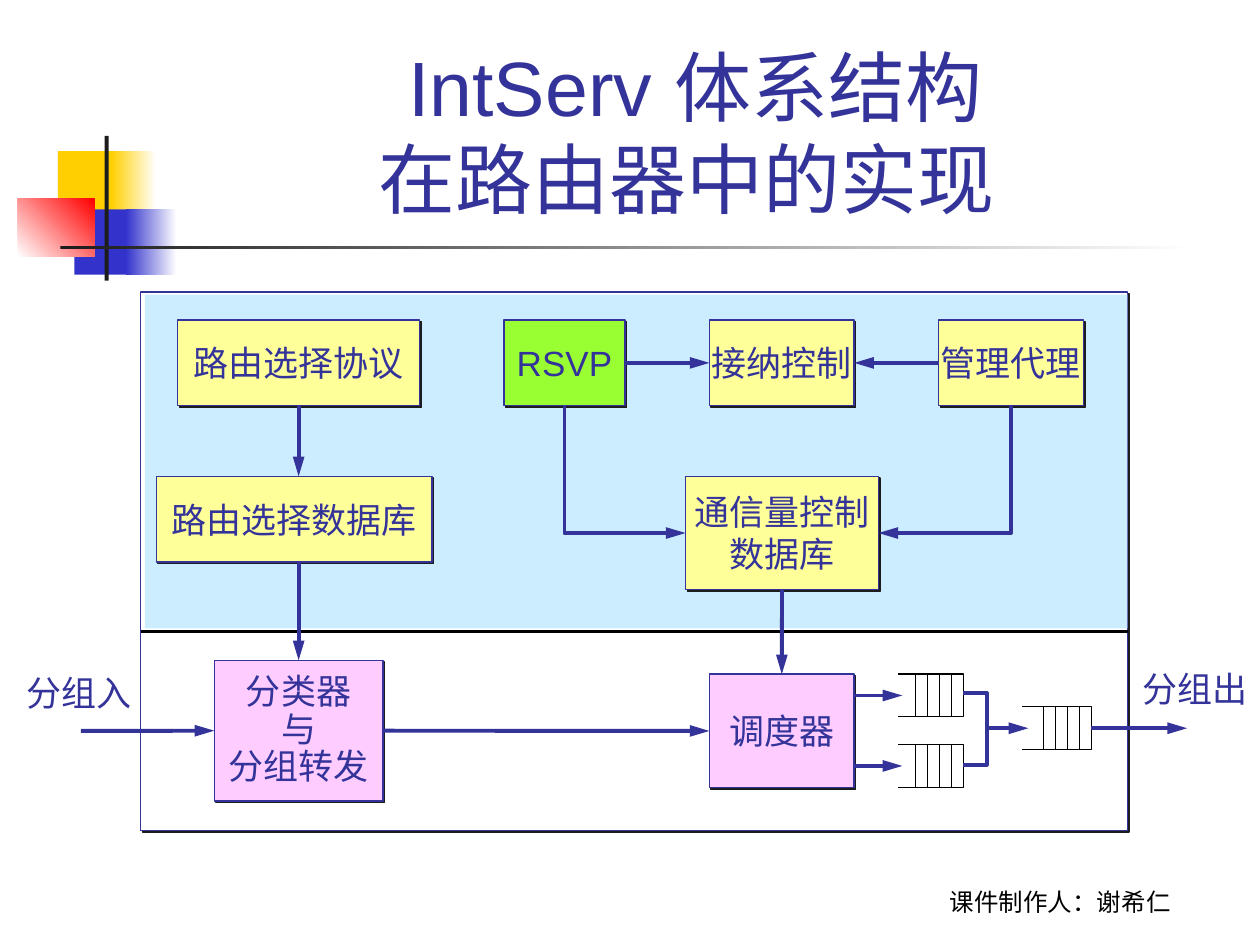
from lxml import etree
from pptx import Presentation
from pptx.dml.color import RGBColor
from pptx.enum import shapes, text
from pptx.oxml.ns import qn
from pptx.util import Cm, Pt

COLOURS = {
    "ink": "333399", "black": "000000", "white": "FFFFFF", "dark": "1C1C1C",
    "gold": "FFCF01", "blue": "3333CC", "red": "FF0000", "sky": "CCECFF",
    "yellow": "FFFF99", "green": "99FF33", "pink": "FFCCFF",
}

# Left, top, width, height in cm; first colour, last colour, gradient angle
DECORATION = [
    (1.17, 3.05, 1.22, 1.32, "gold", None, 0),
    (2.24, 3.05, 0.91, 1.32, "gold", "white", 0),
    (1.5, 4.22, 1.17, 1.32, "blue", None, 0),
    (2.54, 4.22, 1.02, 1.32, "blue", "white", 0),
    (0.36, 4.01, 1.55, 1.17, "white", "red", 45),
    (2.11, 2.74, 0.08, 2.92, "dark", None, 0),
    (1.22, 4.95, 22.86, 0.08, "dark", "white", 0),
]

ROUTER = (2.84, 5.89, 19.89, 10.85)
CONTROL_PLANE = (2.92, 5.94, 19.81, 6.73)
PLANE_BORDER = 12.73

BOXES = {
    "protocol": ("路由选择协议", (3.58, 6.45, 4.88, 1.73), "yellow"),
    "routes": ("路由选择数据库", (3.15, 9.6, 5.56, 1.73), "yellow"),
    "rsvp": ("RSVP", (10.16, 6.45, 2.44, 1.73), "green"),
    "admission": ("接纳控制", (14.3, 6.45, 2.92, 1.73), "yellow"),
    "agent": ("管理代理", (18.92, 6.45, 2.92, 1.73), "yellow"),
    "traffic": ("通信量控制\n数据库", (13.82, 9.6, 3.89, 2.29), "yellow"),
    "classifier": ("分类器\n与\n分组转发", (4.32, 13.31, 3.4, 2.84), "pink"),
    "scheduler": ("调度器", (14.3, 13.59, 2.92, 2.29), "pink"),
}

# Left, top, width in cm
QUEUES = [(18.11, 13.59, 1.31), (18.11, 15.01, 1.31), (20.6, 14.25, 1.4)]
QUEUE_HEIGHT = 0.86
SLOT = 0.24

# Words, place in cm, size, typeface, colour, alignment, anchor, wrap
TEXTS = [
    ("课件制作人：谢希仁", (17.35, 17.32, 8.05, 1.27), 14, "Cabin", "black", "CENTER", "BOTTOM", True),
    ("IntServ 体系结构\v在路由器中的实现 ", (3.2, 0.58, 21.64, 4.06), 44, "Arial", "ink", "CENTER", "BOTTOM", True),
    ("分组入", (0.28, 13.41, 2.62, 1.12), 20, "Arial", "ink", "LEFT", "TOP", False),
    ("分组出", (22.78, 13.34, 2.62, 1.12), 20, "Arial", "ink", "LEFT", "TOP", False),
]


def rgb(name):
    return RGBColor.from_string(COLOURS[name])


def edge(name, side):
    """Middle of one side of a named box."""
    left, top, width, height = BOXES[name][1]
    return {
        "left": (left, top + height / 2),
        "right": (left + width, top + height / 2),
        "top": (left + width / 2, top),
        "bottom": (left + width / 2, top + height),
    }[side]


def write(shape, words, size, typeface, colour, align, anchor, wrap, spacing=None):
    frame = shape.text_frame
    frame.word_wrap = wrap
    frame.vertical_anchor = text.MSO_ANCHOR[anchor]
    frame.text = words
    for paragraph in frame.paragraphs:
        paragraph.alignment = text.PP_ALIGN[align]
        paragraph.line_spacing = spacing
        paragraph.font.size = Pt(size)
        paragraph.font.name = typeface
        paragraph.font.color.rgb = rgb(colour)


def add_rectangle(place, fill, last=None, angle=0, framed=False):
    """Plain or gradient rectangle; a framed one has an outline and a hard shadow."""
    shape = slide.shapes.add_shape(shapes.MSO_SHAPE.RECTANGLE, *map(Cm, place))
    shape.shadow.inherit = False
    if last:
        shape.fill.gradient()
        shape.fill.gradient_angle = angle
        for stop, colour in zip(shape.fill.gradient_stops, (fill, last)):
            stop.color.rgb = rgb(colour)
    else:
        shape.fill.solid()
        shape.fill.fore_color.rgb = rgb(fill)
    if framed:
        shape.line.color.rgb = rgb("ink")
        shape.line.width = Pt(0.75)
        effects = shape._element.spPr.find(qn("a:effectLst"))
        shadow = etree.SubElement(effects, qn("a:outerShdw"), dist=str(Pt(1.4)),
                                  dir="2700000", algn="tl", rotWithShape="0")
        etree.SubElement(shadow, qn("a:srgbClr"), val=COLOURS["dark"])
    else:
        shape.line.fill.background()
    return shape


def add_path(points, colour="ink", weight=2.25, arrow=False):
    """Connector for two points, open freeform for more."""
    points = [(Cm(x), Cm(y)) for x, y in points]
    if len(points) == 2:
        path = slide.shapes.add_connector(
            shapes.MSO_CONNECTOR.STRAIGHT, *points[0], *points[1])
    else:
        builder = slide.shapes.build_freeform(*points[0])
        builder.add_line_segments(points[1:], close=False)
        path = builder.convert_to_shape()
        path.fill.background()
    path.line.color.rgb = rgb(colour)
    path.line.width = Pt(weight)
    if arrow:
        etree.SubElement(path.line._get_or_add_ln(), qn("a:tailEnd"),
                         type="triangle", w="med", len="lg")
    etree.SubElement(path._element.spPr, qn("a:effectLst"))


def add_queue(left, top, width):
    right, bottom = left + width, top + QUEUE_HEIGHT
    add_path([(left, top), (right, top), (right, bottom), (left, bottom)], "black", 0.75)
    for slot in range(1, 5):
        x = right - slot * SLOT
        add_path([(x, top), (x, bottom)], "black", 0.75)


def add_flows():
    lane = edge("protocol", "bottom")[0]
    scheduler_right, middle = edge("scheduler", "right")
    queue_left, _, queue_width = QUEUES[0]
    queue_right = queue_left + queue_width
    join = queue_right + 0.47
    lanes = [top + QUEUE_HEIGHT / 2 for _, top, _ in QUEUES]
    out_left, _, out_width = QUEUES[2]
    out_right = out_left + out_width
    traffic_left, traffic_right = edge("traffic", "left"), edge("traffic", "right")
    rsvp, agent = edge("rsvp", "bottom"), edge("agent", "bottom")

    add_path([(queue_right, lanes[0] - 0.05), (join, lanes[0] - 0.05),
              (join, lanes[1] - 0.02), (queue_right, lanes[1] - 0.02)])
    arrows = [
        [(lane, edge("protocol", "bottom")[1]), (lane, edge("routes", "top")[1])],
        [(lane, edge("routes", "bottom")[1]), (lane, edge("classifier", "top")[1])],
        [edge("rsvp", "right"), edge("admission", "left")],
        [edge("agent", "left"), edge("admission", "right")],
        [rsvp, (rsvp[0], traffic_left[1]), traffic_left],
        [agent, (agent[0], traffic_right[1]), traffic_right],
        [edge("traffic", "bottom"), edge("scheduler", "top")],
        [(1.63, middle), edge("classifier", "left")],
        [edge("classifier", "right"), edge("scheduler", "left")],
        [(scheduler_right, lanes[0]), (queue_left + 0.08, lanes[0])],
        [(scheduler_right, lanes[1]), (queue_left + 0.08, lanes[1])],
        [(join, lanes[2]), (out_left + 0.13, lanes[2])],
        [(out_right, lanes[2]), (out_right + 1.93, lanes[2])],
    ]
    for points in arrows:
        add_path(points, arrow=True)


presentation = Presentation()
presentation.slide_width, presentation.slide_height = Cm(25.4), Cm(19.05)
slide = presentation.slides.add_slide(presentation.slide_layouts[6])

for *place, first, last, angle in DECORATION:
    add_rectangle(place, first, last, angle)
add_rectangle(ROUTER, "white", framed=True)
add_rectangle(CONTROL_PLANE, "sky")
add_path([(ROUTER[0], PLANE_BORDER), (ROUTER[0] + ROUTER[2], PLANE_BORDER)], "black")
for name, (words, place, fill) in BOXES.items():
    box = add_rectangle(place, fill, framed=True)
    write(box, words, 20, "Arial", "ink", "CENTER", "MIDDLE", False,
          0.9 if name == "classifier" else None)
for queue in QUEUES:
    add_queue(*queue)
add_flows()
for words, place, *style in TEXTS:
    write(slide.shapes.add_textbox(*map(Cm, place)), words, *style)

presentation.save("out.pptx")
